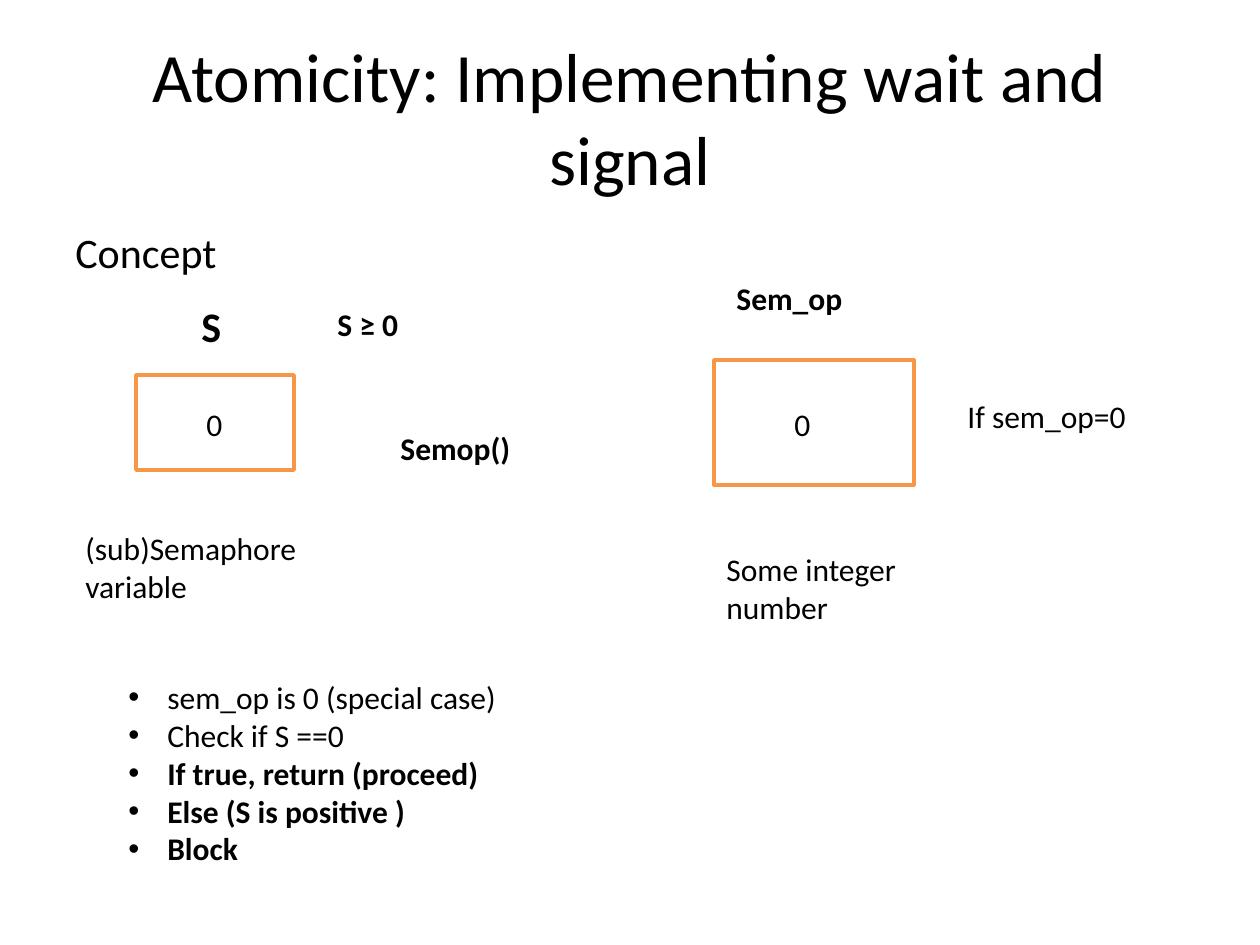
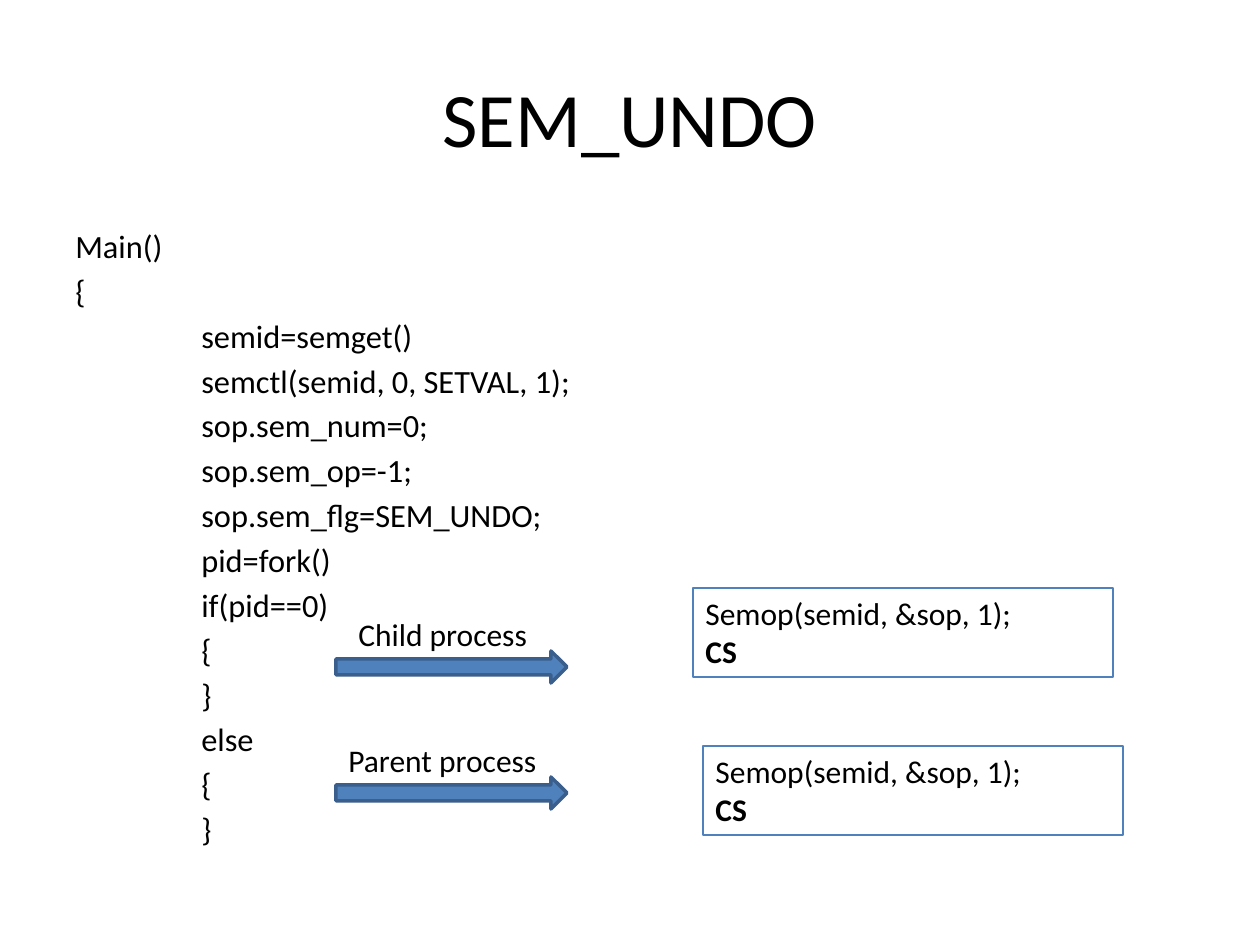
from dataclasses import dataclass
from lxml.etree import SubElement
from pptx import Presentation
from pptx.dml.color import RGBColor
from pptx.enum.shapes import MSO_SHAPE
from pptx.enum.text import MSO_ANCHOR, PP_ALIGN
from pptx.oxml.ns import qn
from pptx.util import Emu, Pt


@dataclass(frozen=True)
class Theme:
    font: str = "Calibri"
    text: RGBColor = RGBColor(0x00, 0x00, 0x00)
    paper: RGBColor = RGBColor(0xFF, 0xFF, 0xFF)
    orange: RGBColor = RGBColor(0xF7, 0x96, 0x46)
    blue: RGBColor = RGBColor(0x4F, 0x81, 0xBD)
    dark_blue: RGBColor = RGBColor(0x3A, 0x5F, 0x8C)
    title: float = 44
    long_title: float = 39.6
    heading: float = 24
    code: float = 18.5
    body: float = 18
    outline: float = 2
    thin_outline: float = 0.75


theme = Theme()
SCALE = 914400 / 126
TITLE_AREA = (63, 38, 1134, 157)
BODY_AREA = (63, 220, 1134, 624)


def add_text(slide, area, lines, size=theme.body, bold=False):
    box = slide.shapes.add_textbox(*[Emu(round(value * SCALE)) for value in area])
    frame = box.text_frame
    frame.word_wrap = True
    for index, line in enumerate(lines):
        paragraph = frame.paragraphs[0] if index == 0 else frame.add_paragraph()
        paragraph.text = line
        paragraph.font.name = theme.font
        paragraph.font.size = Pt(size)
        paragraph.font.bold = bold
        paragraph.font.color.rgb = theme.text
    return box


def add_outlined(slide, kind, area, fill, line):
    shape = slide.shapes.add_shape(kind, *[Emu(round(value * SCALE)) for value in area])
    shape.shadow.inherit = False
    shape.fill.solid()
    shape.fill.fore_color.rgb = fill
    shape.line.color.rgb = line
    shape.line.width = Pt(theme.outline)


presentation = Presentation()
presentation.slide_width = Emu(round(1260 * SCALE))
presentation.slide_height = Emu(round(945 * SCALE))

slides = []
for title, size in (
    ("Atomicity: Implementing wait and signal", theme.long_title),
    ("SEM_UNDO", theme.title),
):
    slide = presentation.slides.add_slide(presentation.slide_layouts[6])
    frame = add_text(slide, TITLE_AREA, [title], size).text_frame
    frame.vertical_anchor = MSO_ANCHOR.MIDDLE
    frame.paragraphs[0].alignment = PP_ALIGN.CENTER
    slides.append(slide)
concept_slide, undo_slide = slides

add_text(concept_slide, BODY_AREA, ["Concept"], theme.heading)
for variable_area in ((136, 375, 158, 95), (714, 360, 200, 125)):
    add_outlined(concept_slide, MSO_SHAPE.RECTANGLE, variable_area, theme.paper, theme.orange)

for area, label, size, bold in (
    ((73, 523, 252, 89), "(sub)Semaphore variable", theme.body, False),
    ((714, 544, 284, 89), "Some integer number", theme.body, False),
    ((189, 294, 73, 63), "S", theme.heading, True),
    ((724, 273, 231, 50), "Sem_op", theme.body, True),
    ((325, 299, 126, 50), "S ≥ 0", theme.body, True),
    ((194, 399, 68, 50), "0", theme.body, False),
    ((782, 399, 111, 50), "0", theme.body, False),
    ((388, 423, 147, 50), "Semop()", theme.body, True),
    ((955, 391, 210, 50), "If sem_op=0", theme.body, False),
):
    add_text(concept_slide, area, [label], size, bold)

steps = add_text(concept_slide, (116, 672, 882, 242), [
    "sem_op is 0 (special case)",
    "Check if S ==0",
    "If true, return (proceed)",
    "Else (S is positive )",
    "Block",
])
for index, paragraph in enumerate(steps.text_frame.paragraphs):
    paragraph.font.bold = index >= 2
    properties = paragraph._p.get_or_add_pPr()
    properties.set("marL", str(round(39 * SCALE)))
    properties.set("indent", str(round(-39 * SCALE)))
    bullet_font = SubElement(properties, qn("a:buFont"))
    bullet_font.set("typeface", "Arial")
    bullet = SubElement(properties, qn("a:buChar"))
    bullet.set("char", "•")
    properties.append(properties.find(qn("a:defRPr")))

code = add_text(undo_slide, BODY_AREA, [
    "Main()",
    "{",
    "semid=semget()",
    "semctl(semid, 0, SETVAL, 1);",
    "sop.sem_num=0;",
    "sop.sem_op=-1;",
    "sop.sem_flg=SEM_UNDO;",
    "pid=fork()",
    "if(pid==0)",
    "{",
    "}",
    "else",
    "{",
    "}",
], theme.code)
for index, paragraph in enumerate(code.text_frame.paragraphs):
    paragraph.space_before = Pt(3.4 if index else 0)
    if index >= 2:
        paragraph._p.get_or_add_pPr().set("marL", str(round(126 * SCALE)))

for name, label_left, label_top, call_left, call_top in (
    ("Child process", 346, 609, 693, 588),
    ("Parent process", 336, 735, 703, 746),
):
    call = add_text(undo_slide, (call_left, call_top, 420, 89), ["Semop(semid, &sop, 1);", "CS"])
    call.text_frame.paragraphs[1].font.bold = True
    call.line.color.rgb = theme.blue
    call.line.width = Pt(theme.thin_outline)
    arrow_area = (336, label_top + 42, 231, 32)
    add_outlined(undo_slide, MSO_SHAPE.RIGHT_ARROW, arrow_area, theme.blue, theme.dark_blue)
    add_text(undo_slide, (label_left, label_top, 262, 53), [name])

presentation.save("out.pptx")
